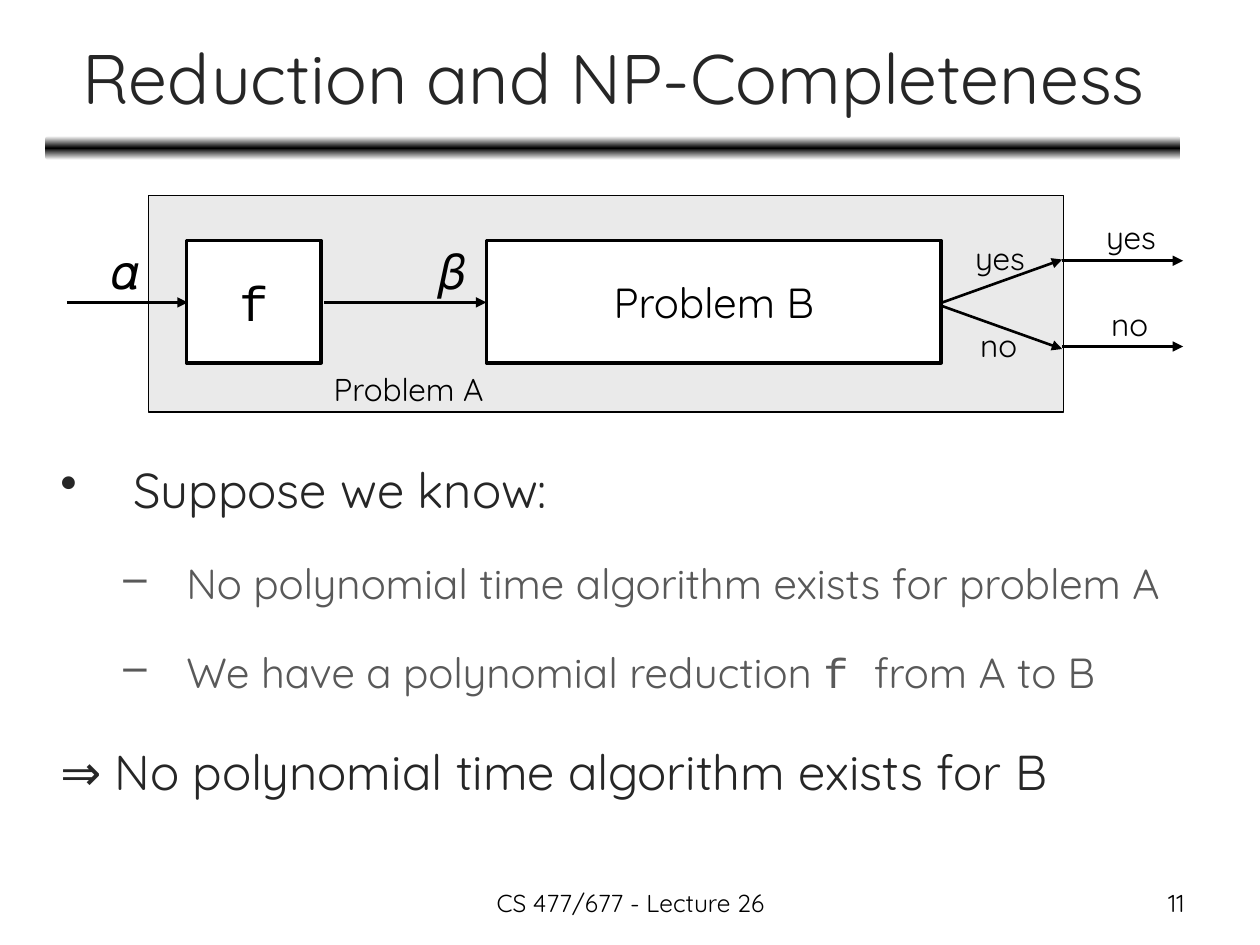
from copy import deepcopy

from pptx import Presentation
from pptx.dml.color import RGBColor
from pptx.enum.shapes import MSO_CONNECTOR as Connector, MSO_SHAPE as Shape
from pptx.enum.text import MSO_ANCHOR as Anchor, PP_ALIGN as Align
from pptx.oxml.ns import qn
from pptx.util import Inches, Pt
from lxml.etree import SubElement

BLACK = RGBColor(0x00, 0x00, 0x00)
WHITE = RGBColor(0xFF, 0xFF, 0xFF)
PANEL = RGBColor(0xEA, 0xEA, 0xEA)
INK = RGBColor(0x26, 0x26, 0x26)
MUTED = RGBColor(0x59, 0x59, 0x59)
SANS, MONO, SYMBOL = "Quicksand", "Courier New", "Arial"


class LectureSlide:
    """Slide on a grid of 100 columns by 75 rows, with its style."""

    CELL = Inches(0.1)

    def __init__(self, deck):
        deck.slide_width, deck.slide_height = 100 * self.CELL, 75 * self.CELL
        self.slide = deck.slides.add_slide(deck.slide_layouts[5])

    def grid(self, *lengths):
        return [round(length * self.CELL) for length in lengths]

    def run(self, paragraph, text, size, font=SANS, color=BLACK):
        run = paragraph.add_run()
        run.text = text
        run.font.size, run.font.name = Pt(size), font
        run.font.color.rgb = color

    def title(self, text, *box):
        title = self.slide.shapes.title
        title.left, title.top, title.width, title.height = self.grid(*box)
        title.text_frame.vertical_anchor = Anchor.MIDDLE
        paragraph = title.text_frame.paragraphs[0]
        paragraph.alignment = Align.CENTER
        self.run(paragraph, text, 40, color=INK)

    def rule(self, *box):
        bar = self.slide.shapes.add_shape(Shape.ROUNDED_RECTANGLE, *self.grid(*box))
        bar.shadow.inherit = False
        bar.line.fill.background()
        bar.fill.gradient()
        bar.fill.gradient_angle = 90
        stops = bar._element.spPr.find(".//" + qn("a:gsLst"))
        stops.insert(1, deepcopy(stops[0]))
        shades = zip(bar.fill.gradient_stops, (0, 0.5, 1), (WHITE, BLACK, WHITE))
        for stop, position, color in shades:
            stop.position, stop.color.rgb = position, color

    def block(self, *box, fill=WHITE, border=2, text="", size=24, font=SANS):
        block = self.slide.shapes.add_shape(Shape.RECTANGLE, *self.grid(*box))
        block.shadow.inherit = False
        block.fill.solid()
        block.fill.fore_color.rgb = fill
        block.line.color.rgb, block.line.width = BLACK, Pt(border)
        if text:
            frame = block.text_frame
            frame.word_wrap, frame.vertical_anchor = False, Anchor.MIDDLE
            frame.paragraphs[0].alignment = Align.CENTER
            self.run(frame.paragraphs[0], text, size, font)

    def arrow(self, *ends):
        arrow = self.slide.shapes.add_connector(Connector.STRAIGHT, *self.grid(*ends))
        arrow.line.color.rgb, arrow.line.width = BLACK, Pt(1.5)
        SubElement(arrow.line._get_or_add_ln(), qn("a:tailEnd"), type="triangle")
        SubElement(arrow._element.spPr, qn("a:effectLst"))

    def label(self, text, *box, size=18, font=SANS, align=Align.LEFT, wrap=False):
        frame = self.slide.shapes.add_textbox(*self.grid(*box)).text_frame
        frame.word_wrap = wrap
        frame.paragraphs[0].alignment = align
        self.run(frame.paragraphs[0], text, size, font)

    def outline(self, items, *box):
        frame = self.slide.shapes.add_textbox(*self.grid(*box)).text_frame
        frame.word_wrap = True
        for number, (level, bullet, indent, hang, pieces) in enumerate(items):
            paragraph = frame.add_paragraph() if number else frame.paragraphs[0]
            size, color = (24, MUTED) if level else (28, INK)
            if bullet:
                properties = paragraph._p.get_or_add_pPr()
                properties.set("marL", str(Inches(indent)))
                properties.set("indent", str(-Inches(hang)))
                SubElement(properties, qn("a:buChar"), char=bullet)
            paragraph.level = level
            paragraph.line_spacing = 1.6
            if number:
                paragraph.space_before = Pt(0.2 * size)
            for text, font in pieces:
                self.run(paragraph, text, size, font, color)


def main():
    deck = Presentation()
    page = LectureSlide(deck)

    # Heading
    page.rule(3.6, 10.8, 90.1, 1.9)
    page.title("Reduction and NP-Completeness", 3.7, 1.1, 90, 9.9)

    # Reduction diagram: problem A wraps the mapping f and problem B
    page.block(11.8, 15.5, 72.6, 17.2, fill=PANEL, border=0.75)
    page.block(14.8, 19.1, 10.7, 9.7, text="f", size=28, font=MONO)
    page.block(38.6, 19.1, 36.1, 9.7, text="Problem B")
    page.label("Problem A", 25.5, 28.9, 14.7, 4)

    # Inputs
    for symbol, label_left, start, end in (
        ("𝛼", 7.9, 5.3, 14.9),
        ("𝛽", 33.8, 25.7, 38.6),
    ):
        page.arrow(start, 24, end, 24)
        page.label(symbol, label_left, 18.6, 4.5, 5.7, size=28, font=SYMBOL)

    # Answers: each leaves problem B, then problem A
    for answer, inset, branch, tip, exit_row, label_row in (
        ("yes", 0, 24, 20.6, 20.7, 18.5),
        ("no", 0.4, 24.3, 27.7, 27.5, 25.4),
    ):
        page.arrow(74.8, branch, 84.3, tip)
        page.arrow(84.3, exit_row, 93.9, exit_row)
        for left, row in ((76.4, label_row), (86.8, label_row - 1.7)):
            page.label(answer, left + inset, row, 6 - 2 * inset, 4)

    # Argument
    page.outline(
        [
            (0, "•", 0.58, 0.58, [("Suppose we know:", SANS)]),
            (1, "–", 1, 0.5,
             [("No polynomial time algorithm exists for problem A", SANS)]),
            (1, "–", 1, 0.5,
             [("We have a polynomial reduction ", SANS), ("f ", MONO),
              ("from A to B", SANS)]),
            (0, None, 0, 0,
             [("⇒ No polynomial time algorithm exists for B", SANS)]),
        ],
        3.8, 33.2, 92.1, 39.1,
    )

    # Footer
    page.label("CS 477/677 - Lecture 26", 34.2, 70, 31.7, 3.5,
               size=14, align=Align.CENTER, wrap=True)
    page.label("11", 71.7, 70, 23.3, 3.5, size=14, align=Align.RIGHT, wrap=True)

    deck.save("out.pptx")


if __name__ == "__main__":
    main()
